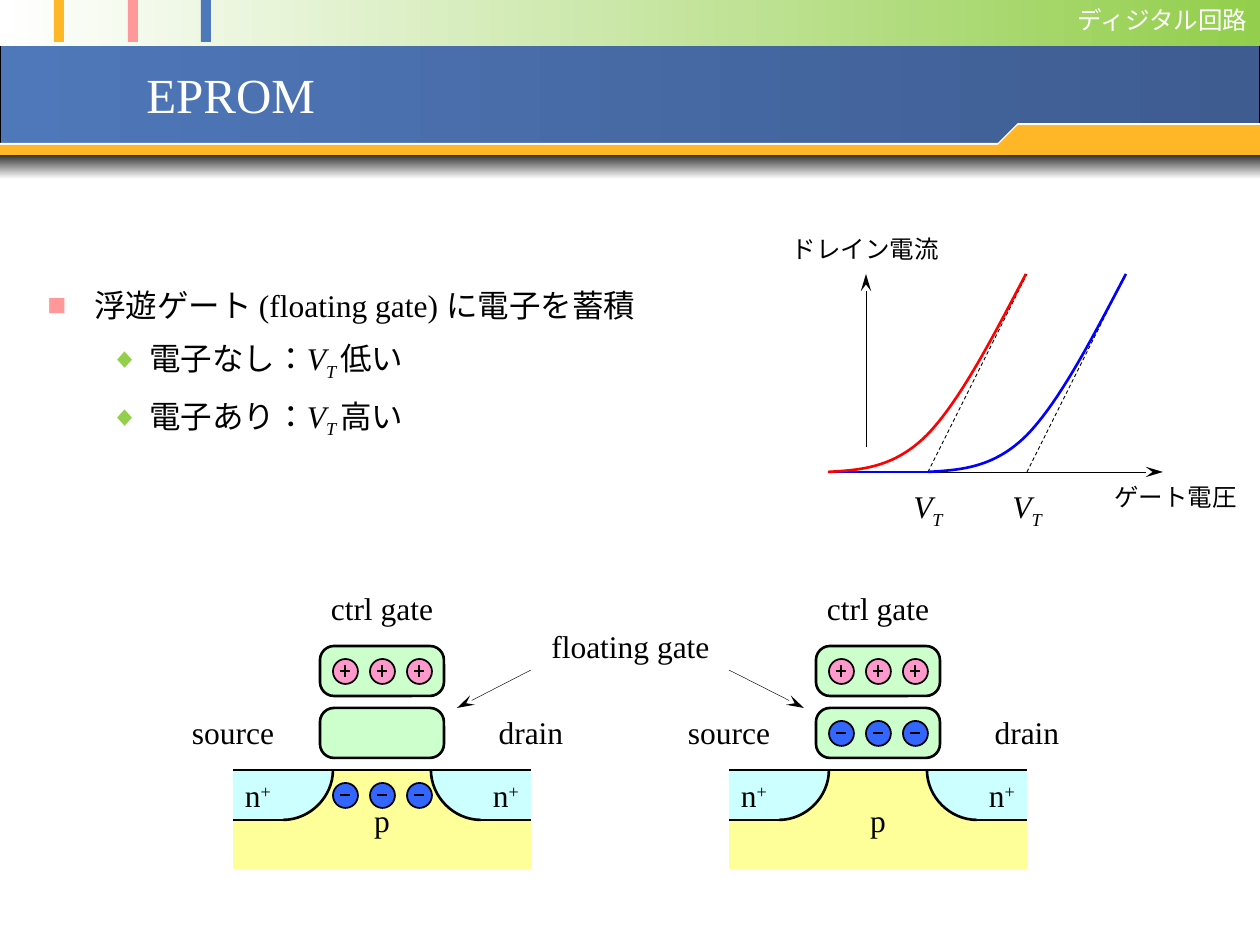
from copy import deepcopy

from lxml import etree
from pptx import Presentation
from pptx.dml.color import RGBColor
from pptx.enum.dml import MSO_LINE
from pptx.enum.shapes import MSO_CONNECTOR, MSO_SHAPE
from pptx.enum.text import MSO_ANCHOR, PP_ALIGN
from pptx.oxml.ns import qn
from pptx.util import Emu, Pt

STRAIGHT, DASH = MSO_CONNECTOR.STRAIGHT, MSO_LINE.DASH
RECT, ROUND, OVAL = MSO_SHAPE.RECTANGLE, MSO_SHAPE.ROUNDED_RECTANGLE, MSO_SHAPE.OVAL
LEFT, CENTER, RIGHT = PP_ALIGN.LEFT, PP_ALIGN.CENTER, PP_ALIGN.RIGHT
MIDDLE = MSO_ANCHOR.MIDDLE

BLACK, WHITE = RGBColor(0, 0, 0), RGBColor(255, 255, 255)
BLUE, NAVY = RGBColor(0x4F, 0x78, 0xBA), RGBColor(0x3E, 0x5C, 0x90)
GREEN, ORANGE = RGBColor(0x93, 0xCE, 0x4C), RGBColor(0xFF, 0xB7, 0x27)
PINK, GATE = RGBColor(0xFF, 0x99, 0x99), RGBColor(0xCC, 0xFF, 0xCC)
P_TYPE, N_TYPE = RGBColor(0xFF, 0xFF, 0x99), RGBColor(0xCC, 0xFF, 0xFF)
HOLE, ELECTRON = RGBColor(0xFF, 0x99, 0xCC), RGBColor(0x33, 0x66, 0xFF)
CURVE_RED, CURVE_BLUE = RGBColor(255, 0, 0), RGBColor(0, 0, 255)
SERIF, GOTHIC = "Times New Roman", "Noto Sans CJK JP"

# Content: a run is (text, font, italic, baseline in thousandths of a percent)
VT = [("V", SERIF, True, 0), ("T", SERIF, True, -25000)]
N_PLUS = [("n", SERIF, False, 0), ("+", SERIF, False, 30000)]


def threshold(state, level):
    return [(state, GOTHIC, False, 0), VT[0], ("T ", SERIF, True, -25000),
            (level, GOTHIC, False, 0)]


BULLETS = [  # level, runs
    (0, [("浮遊ゲート ", GOTHIC, False, 0), ("(floating gate) ", SERIF, False, 0),
         ("に電子を蓄積", GOTHIC, False, 0)]),
    (1, threshold("電子なし：", "低い")),
    (1, threshold("電子あり：", "高い")),
]
BULLET_STYLES = [  # symbol, colour, size %, left margin px, hanging px
    ("■", PINK, 100, 48, 47),
    ("◆", GREEN, 90, 103, 39),
]
STRIPES = [(54, ORANGE), (128, PINK), (201, BLUE)]
TRANSISTORS = [  # left edge, top of the electrons, arrow start and end x
    (233, 783, 531, 457),
    (729, 721, 729, 804),
]
AXIS_Y, CURVE_SIZE = 472, 198
CURVES = [(928, CURVE_BLUE), (828, CURVE_RED)]
CURVE_SHAPE = [(198, 198), (165, 135), (132, 71), (99, 37), (66, 4), (33, 2), (0, 0)]
THRESHOLDS = [928, 1027]


def px(value):
    return Emu(round(value * 914400 / 126))


presentation = Presentation()
presentation.slide_width, presentation.slide_height = px(1260), px(945)
slide = presentation.slides.add_slide(presentation.slide_layouts[6])


def paint(shape, fill, line, width):
    shape.shadow.inherit = False
    if fill is None:
        shape.fill.background()
    elif isinstance(fill, RGBColor):
        shape.fill.solid()
        shape.fill.fore_color.rgb = fill
    else:
        start, end, angle = fill
        shape.fill.gradient()
        shape.fill.gradient_angle = angle
        for stop, color in zip(shape.fill.gradient_stops, (start, end)):
            stop.color.rgb = color
    if line is None:
        shape.line.fill.background()
    else:
        shape.line.color.rgb, shape.line.width = line, Pt(width)
    return shape


def block(box, fill, line=None, width=1.5, kind=RECT, shapes=slide.shapes):
    return paint(shapes.add_shape(kind, *map(px, box)), fill, line, width)


def outline(points, fill=None, line=None, closed=True):
    points = [(px(x), px(y)) for x, y in points]
    builder = slide.shapes.build_freeform(*points[0], scale=1.0)
    builder.add_line_segments(points[1:], close=closed)
    return paint(builder.convert_to_shape(), fill, line, 1.5)


def bend(shape):
    """Turn each three line segments of a freeform into one cubic curve."""
    geometry = next(shape._element.iter(qn("a:path")))
    segments = geometry.findall(qn("a:lnTo"))
    for first in range(0, len(segments) - 2, 3):
        curve = etree.Element(qn("a:cubicBezTo"))
        segments[first].addprevious(curve)
        for segment in segments[first:first + 3]:
            curve.append(segment[0])
            geometry.remove(segment)
    return geometry


def connect(start, end, width=1.5, color=BLACK, arrow=False, dash=None, shapes=slide.shapes):
    connector = shapes.add_connector(STRAIGHT, *map(px, start + end))
    line = connector.line
    line.color.rgb, line.width = color, Pt(width)
    if dash:
        line.dash_style = dash
    if arrow:
        etree.SubElement(line._get_or_add_ln(), qn("a:tailEnd"),
                         type="stealth", w="med", len="lg")
    etree.SubElement(connector._element.spPr, qn("a:effectLst"))


def add_runs(paragraph, runs, size, color):
    for text, font, italic, baseline in runs:
        run = paragraph.add_run()
        run.text = text
        style = {"name": font, "size": Pt(size), "italic": italic}
        for name, value in style.items():
            setattr(run.font, name, value)
        run.font.color.rgb = color
        properties = run._r.get_or_add_rPr()
        properties.set("lang", "ja-JP")
        etree.SubElement(properties, qn("a:ea"), typeface=GOTHIC)
        if baseline:
            properties.set("baseline", str(baseline))


def write(shape, content, size=18, color=BLACK, align=CENTER, font=SERIF, wrap=False):
    runs = [(content, font, False, 0)] if isinstance(content, str) else content
    frame = shape.text_frame
    frame.word_wrap, frame.vertical_anchor = wrap, MIDDLE
    if align == CENTER:
        frame.margin_left = frame.margin_right = 0
    frame.paragraphs[0].alignment = align
    add_runs(frame.paragraphs[0], runs, size, color)


def label(box, content, **style):
    write(slide.shapes.add_textbox(*map(px, box)), content, **style)


def charge(left, top, color, positive):
    shapes = slide.shapes.add_group_shape().shapes
    x, y = left + 12, top + 12
    block((left, top, 25, 25), color, BLACK, 1, OVAL, shapes)
    connect((x - 5, y), (x + 5, y), 1, shapes=shapes)
    if positive:
        connect((x, y - 6), (x, y + 6), 1, shapes=shapes)


def transistor(left, electron_top, arrow_start, arrow_end):
    center, right, surface = left + 149, left + 298, 770
    write(block((left, surface, 298, 99), P_TYPE), "p")
    # n+ regions: a filled corner, with only its arc stroked
    for outer, side in ((left, 1), (right, -1)):
        inner = outer + side * 50
        corner = bend(outline([(inner, 820), (inner + side * 27, 820),
                               (inner + side * 50, 797), (inner + side * 50, surface),
                               (inner, surface)], N_TYPE, BLACK))
        arc = deepcopy(corner)
        for part in arc[2:]:
            arc.remove(part)
        arc.set("fill", "none")
        corner.set("stroke", "0")
        corner.addprevious(arc)
        write(block((min(outer, inner), surface, 50, 50), N_TYPE), N_PLUS)
        connect((outer, 820), (inner, 820))
    connect((left, surface), (right, surface))
    # Control gate above floating gate
    for top in (646, 708):
        gate = block((center - 62, top, 124, 50), GATE, BLACK, kind=ROUND)
        gate.adjustments[0] = 0.28
    for offset in (-49, -12, 25):
        charge(center + offset, 659, HOLE, True)
        charge(center + offset, electron_top, ELECTRON, False)
    connect((arrow_start, 670), (arrow_end, 708), 0.25, arrow=True)
    label((center - 99, 584, 198, 48), "ctrl gate")
    label((left - 50, 708, 100, 48), "source")
    label((right - 50, 708, 100, 48), "drain")


# Header band
block((0, 0, 1260, 175), (BLUE, NAVY, 0), BLACK, 0.75)
block((0, 0, 1260, 46), (WHITE, GREEN, 0))
for x, color in STRIPES:
    block((x, 0, 10, 42), color)
label((1061, -1, 199, 42), "ディジタル回路", size=14, color=WHITE, align=RIGHT, font=GOTHIC)
block((0, 149, 1260, 30), (BLACK, WHITE, 270))
for top, color in ((123, WHITE), (125, ORANGE)):
    block((0, top + 20, 1260, 10), color)
    block((1018, top, 242, 21), color)
    outline([(998, top + 20), (1018, top + 20), (1018, top)], color)
label((134, 50, 993, 87), "EPROM", size=28, color=WHITE, align=LEFT, wrap=True)

# Bullets
frame = slide.shapes.add_textbox(*map(px, (34, 175, 1226, 368))).text_frame
frame.word_wrap, frame.vertical_anchor = True, MIDDLE
for index, (level, runs) in enumerate(BULLETS):
    paragraph = frame.add_paragraph() if index else frame.paragraphs[0]
    paragraph.level, paragraph.line_spacing = level, 1.2
    symbol, color, percent, margin, hanging = BULLET_STYLES[level]
    properties = paragraph._p.get_or_add_pPr()
    properties.set("marL", str(px(margin)))
    properties.set("indent", str(-px(hanging)))
    before = etree.SubElement(properties, qn("a:spcBef"))
    etree.SubElement(before, qn("a:spcPct"), val="20000")
    bullet_color = etree.SubElement(properties, qn("a:buClr"))
    etree.SubElement(bullet_color, qn("a:srgbClr"), val=str(color))
    etree.SubElement(properties, qn("a:buSzPct"), val=str(percent * 1000))
    etree.SubElement(properties, qn("a:buFont"), typeface=SERIF)
    etree.SubElement(properties, qn("a:buChar"), char=symbol)
    add_runs(paragraph, runs, 18, BLACK)

# Transistors
for values in TRANSISTORS:
    transistor(*values)
label((531, 622, 199, 48), "floating gate")

# Drain current against gate voltage
connect((828, AXIS_Y), (1163, AXIS_Y), 0.5, arrow=True)
connect((866, 447), (866, 274), 0.5, arrow=True)
for x in THRESHOLDS:
    connect((x, AXIS_Y), (x + 99, AXIS_Y - CURVE_SIZE), 0.5, dash=DASH)
    label((x - 25, 485, 50, 48), VT)
connect((928, AXIS_Y), (828, AXIS_Y), color=CURVE_BLUE)
for x, color in CURVES:
    bend(outline([(x + dx, AXIS_Y - dy) for dx, dy in CURVE_SHAPE], line=color, closed=False))
label((789, 237, 153, 24), "ドレイン電流", size=14)
label((1112, 485, 127, 24), "ゲート電圧", size=14)

presentation.save("out.pptx")
